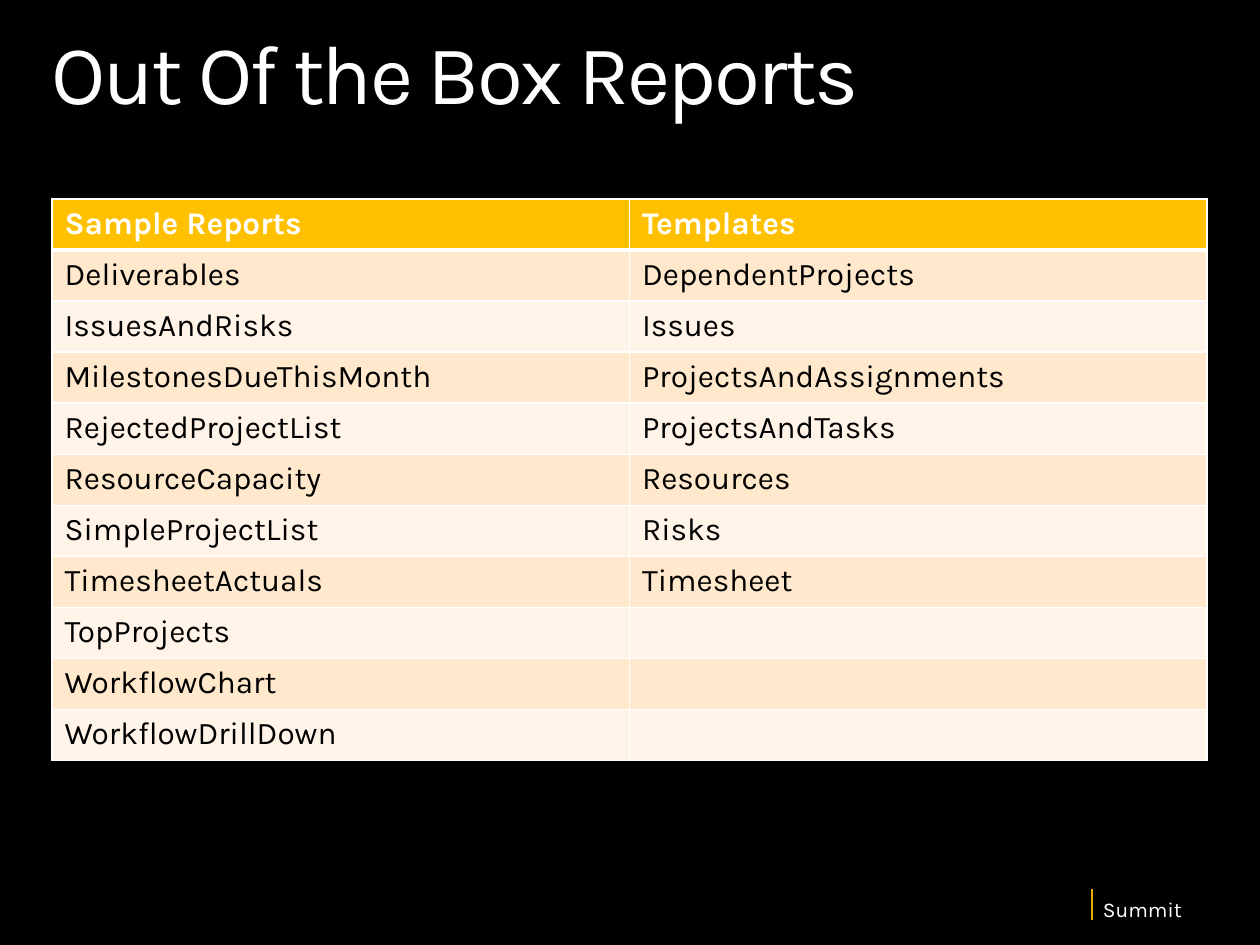
from dataclasses import dataclass
from itertools import zip_longest

from lxml.etree import SubElement
from pptx import Presentation
from pptx.dml.color import RGBColor
from pptx.enum.shapes import MSO_CONNECTOR as Connector
from pptx.oxml.ns import qn
from pptx.util import Emu, Pt

EMU_PER_PX = 914400 / 126


@dataclass(frozen=True)
class Theme:
    font: str = "Karla"
    background: str = "000000"
    light: str = "FFFFFF"
    dark: str = "000000"
    header: str = "FFC000"
    bands: tuple = ("FFE8CC", "FFF4E7")
    accent: str = "E7AE00"
    title_size: int = 48
    body_size: int = 18
    footer_size: int = 12


THEME = Theme()
HEADINGS = ("Sample Reports", "Templates")
SAMPLE_REPORTS = (
    "Deliverables", "IssuesAndRisks", "MilestonesDueThisMonth",
    "RejectedProjectList", "ResourceCapacity", "SimpleProjectList",
    "TimesheetActuals", "TopProjects", "WorkflowChart", "WorkflowDrillDown",
)
TEMPLATES = (
    "DependentProjects", "Issues", "ProjectsAndAssignments",
    "ProjectsAndTasks", "Resources", "Risks", "Timesheet",
)


def px(n):
    return Emu(round(n * EMU_PER_PX))


def rgb(color):
    return RGBColor.from_string(color)


def style_runs(p, size, color, bold=False):
    for r in p.runs:
        r.font.name = THEME.font
        r.font.size = Pt(size)
        r.font.bold = bold
        r.font.color.rgb = rgb(color)


def add_text(slide, box, text, size):
    """Add a one-line text box without margins and return its paragraph."""
    tf = slide.shapes.add_textbox(*map(px, box)).text_frame
    tf.word_wrap = True
    tf.margin_left = tf.margin_top = tf.margin_right = tf.margin_bottom = 0
    tf.text = text
    p = tf.paragraphs[0]
    p.line_spacing = 0.9
    style_runs(p, size, THEME.light)
    return p


def add_title(slide, box, text):
    p = add_text(slide, box, text, THEME.title_size)
    p.runs[0].font._element.set("spc", "-150")


def set_borders(cell, top=1, bottom=1):
    tc_pr = cell._tc.get_or_add_tcPr()
    for side, width in (("L", 1), ("R", 1), ("T", top), ("B", bottom)):
        ln = SubElement(tc_pr, qn(f"a:ln{side}"), w=str(Pt(width)))
        fill = SubElement(ln, qn("a:solidFill"))
        SubElement(fill, qn("a:srgbClr"), val=THEME.light)


def add_report_table(slide, box, headings, columns):
    rows = [headings, *zip_longest(*columns, fillvalue="")]
    x, y, w, h = box
    table = slide.shapes.add_table(
        len(rows), len(headings), px(x), px(y), px(w), px(h)).table
    for col in table.columns:
        col.width = px(w / len(headings))
    for i, texts in enumerate(rows):
        table.rows[i].height = px(h / len(rows))
        is_header = i == 0
        fill = THEME.header if is_header else THEME.bands[(i - 1) % 2]
        color = THEME.light if is_header else THEME.dark
        for cell, text in zip(table.rows[i].cells, texts):
            set_borders(cell, top=3 if i == 1 else 1,
                        bottom=3 if is_header else 1)
            cell.fill.solid()
            cell.fill.fore_color.rgb = rgb(fill)
            cell.text_frame.text = text
            style_runs(cell.text_frame.paragraphs[0], THEME.body_size,
                       color, is_header)


def add_footer(slide, box, text):
    """Add an upright accent rule with the event name beside its foot."""
    x, y, w, h = box
    rule = slide.shapes.add_connector(
        Connector.STRAIGHT, px(x), px(y), px(x), px(y + h))
    rule.line.color.rgb = rgb(THEME.accent)
    rule.line.width = Pt(1.25)
    SubElement(rule._element.spPr, qn("a:effectLst"))
    add_text(slide, (x + 11, y + 10, w - 11, h - 8), text, THEME.footer_size)


def main():
    prs = Presentation()
    prs.slide_width, prs.slide_height = px(1260), px(945)
    slide = prs.slides.add_slide(prs.slide_layouts[6])
    slide.background.fill.solid()
    slide.background.fill.fore_color.rgb = rgb(THEME.background)

    add_footer(slide, (1092, 889, 115, 31), "Summit")
    add_title(slide, (52, 32, 1155, 92), "Out Of the Box Reports")
    add_report_table(slide, (52, 199, 1155, 562), HEADINGS,
                     (SAMPLE_REPORTS, TEMPLATES))
    prs.save("out.pptx")


if __name__ == "__main__":
    main()
